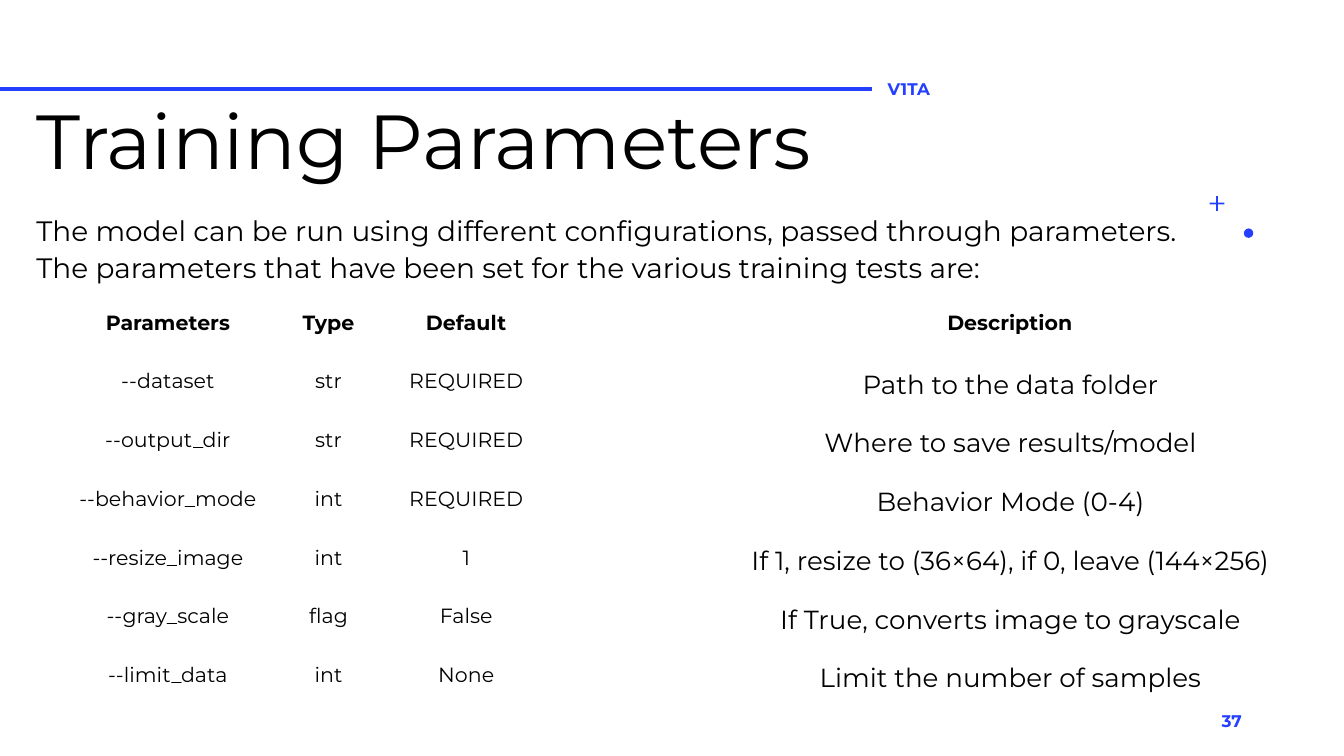
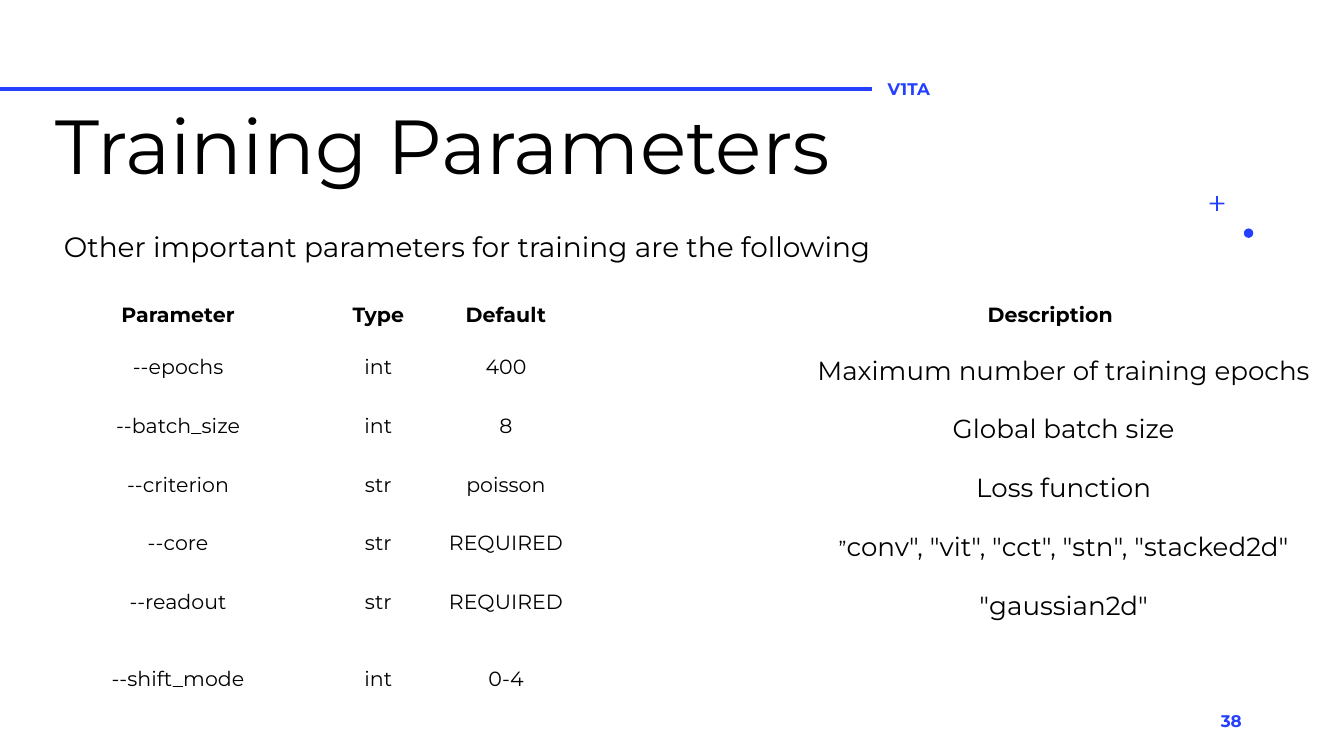
import dataclasses

import lxml.etree
import pptx
import pptx.dml.color
import pptx.enum.shapes
import pptx.enum.text
import pptx.oxml.ns
import pptx.util

ALIGN = pptx.enum.text.PP_ALIGN
ANCHOR = pptx.enum.text.MSO_ANCHOR
SHAPE = pptx.enum.shapes.MSO_SHAPE
qn = pptx.oxml.ns.qn


@dataclasses.dataclass(frozen=True)
class Theme:
    font: str = "Montserrat"
    ink: str = "000000"
    accent: str = "243FFF"
    title: int = 41
    body: int = 15
    description: int = 14
    cell: int = 11
    label: int = 9
    rule: int = 2
    plain_table: str = "{2D5ABB26-0587-4C30-8999-92F81FD0307C}"


class Deck:
    columns = 100
    rows = 56.25

    def __init__(self, theme):
        self.theme = theme
        self.presentation = pptx.Presentation()
        self.presentation.slide_width = pptx.util.Inches(10)
        self.presentation.slide_height = self.presentation.slide_width * 9 // 16
        self.slide = None

    def across(self, columns):
        return round(self.presentation.slide_width * columns / self.columns)

    def down(self, rows):
        return round(self.presentation.slide_height * rows / self.rows)

    def box(self, left, top, width, height):
        return self.across(left), self.down(top), self.across(width), self.down(height)

    def color(self, value):
        return pptx.dml.color.RGBColor.from_string(value)

    def paint(self, shape):
        shape.shadow.inherit = False
        shape.fill.solid()
        shape.fill.fore_color.rgb = self.color(self.theme.accent)
        shape.line.fill.background()

    def run(self, paragraph, text, size, color, bold=False):
        run = paragraph.add_run()
        run.text = text
        run.font.name = self.theme.font
        run.font.size = pptx.util.Pt(size)
        run.font.bold = bold
        run.font.color.rgb = self.color(color)

    def frame(self, shape, anchor, align=ALIGN.LEFT, spacing=1.0):
        frame = shape.text_frame
        frame.word_wrap = True
        frame.auto_size = pptx.enum.text.MSO_AUTO_SIZE.NONE
        frame.vertical_anchor = anchor
        frame.margin_left = frame.margin_right = self.across(0.7)
        frame.margin_top = frame.margin_bottom = self.down(0.4)
        paragraph = frame.paragraphs[0]
        paragraph.alignment = align
        paragraph.line_spacing = spacing
        paragraph.space_before = pptx.util.Pt(0)
        return paragraph

    def place(self, shape, box):
        shape.left, shape.top, shape.width, shape.height = self.box(*box)

    def title(self, text, left, top):
        heading = self.slide.shapes.title
        self.place(heading, (left, top, self.columns - left, 9.7))
        paragraph = self.frame(heading, ANCHOR.BOTTOM, spacing=0.9)
        self.run(paragraph, text, self.theme.title, self.theme.ink)

    def body(self, text, box):
        intro = self.slide.placeholders[1]
        self.place(intro, box)
        paragraph = self.frame(intro, ANCHOR.TOP, spacing=1.1)
        properties = paragraph._p.get_or_add_pPr()
        properties.set("marL", "0")
        properties.set("indent", "0")
        lxml.etree.SubElement(properties, qn("a:buNone"))
        self.run(paragraph, text, self.theme.body, self.theme.ink)

    def label(self, text, box, align=ALIGN.LEFT):
        tag = self.slide.shapes.add_textbox(*self.box(*box))
        paragraph = self.frame(tag, ANCHOR.MIDDLE, align)
        self.run(paragraph, text, self.theme.label, self.theme.accent, True)

    def rule(self, end, top):
        rule = self.slide.shapes.add_connector(
            pptx.enum.shapes.MSO_CONNECTOR.STRAIGHT,
            0, self.down(top), self.across(end), self.down(top))
        rule.line.color.rgb = self.color(self.theme.accent)
        rule.line.width = pptx.util.Pt(self.theme.rule)
        lxml.etree.SubElement(rule.element.spPr, qn("a:effectLst"))

    def dot(self, left, top, size):
        self.paint(self.slide.shapes.add_shape(
            SHAPE.OVAL, *self.box(left, top, size, size)))

    def plus(self, left, top, size):
        near, far, end = 7, 9, 16
        outline = self.slide.shapes.build_freeform(
            near, 0, scale=self.across(size) / end)
        outline.add_line_segments([
            (far, 0), (far, near), (end, near), (end, far), (far, far), (far, end),
            (near, end), (near, far), (0, far), (0, near), (near, near)])
        self.paint(outline.convert_to_shape(self.across(left), self.down(top)))

    def cell(self, cell, content, size, heading, indent):
        cell.fill.background()
        cell.margin_left = self.across(1 + indent)
        cell.margin_right = self.across(1)
        cell.margin_top = cell.margin_bottom = self.down(1)
        paragraph = cell.text_frame.paragraphs[0]
        paragraph.alignment = ALIGN.CENTER
        paragraph.line_spacing = 1.15 if heading else 1.0
        pieces = [(content, size)] if isinstance(content, str) else content
        for text, piece_size in pieces:
            self.run(paragraph, text, piece_size, self.theme.ink, heading)

    def table(self, entries, left, top, widths, heights, indents):
        holder = self.slide.shapes.add_table(
            len(entries), len(widths),
            *self.box(left, top, sum(widths), sum(heights)))
        grid = holder.table
        grid.first_row = grid.horz_banding = False
        next(holder.element.iter(qn("a:tableStyleId"))).text = self.theme.plain_table
        for column, width in zip(grid.columns, widths):
            column.width = self.across(width)
        for row, height in zip(grid.rows, heights):
            row.height = self.down(height)
        last = len(widths) - 1
        for r, entry in enumerate(entries):
            heading = r == 0
            for c, content in enumerate(entry):
                described = c == last and not heading
                size = self.theme.description if described else self.theme.cell
                indent = indents[0 if heading else 1] if c == last else 0
                self.cell(grid.cell(r, c), content, size, heading, indent)

    def start(self, number):
        layout = self.presentation.slide_layouts[1]
        self.slide = self.presentation.slides.add_slide(layout)
        self.rule(64.9, 6.6)
        self.dot(92.55, 17, 0.7)
        self.plus(90, 14.6, 1.1)
        self.label("V1TA", (65.35, 5.1, 10.6, 3))
        self.label(str(number), (70.6, 52.15, 22.5, 3), ALIGN.RIGHT)


DATA_PARAMETERS = [
    ("Parameters", "Type", "Default", "Description"),
    ("--dataset", "str", "REQUIRED", "Path to the data folder"),
    ("--output_dir", "str", "REQUIRED", "Where to save results/model"),
    ("--behavior_mode", "int", "REQUIRED", "Behavior Mode (0-4)"),
    ("--resize_image", "int", "1", "If 1, resize to (36×64), if 0, leave (144×256)"),
    ("--gray_scale", "flag", "False", "If True, converts image to grayscale"),
    ("--limit_data", "int", "None", "Limit the number of samples"),
]

MODEL_PARAMETERS = [
    ("Parameter", "Type", "Default", "Description"),
    ("--epochs", "int", "400", "Maximum number of training epochs"),
    ("--batch_size", "int", "8", "Global batch size"),
    ("--criterion", "str", "poisson", "Loss function"),
    ("--core", "str", "REQUIRED",
     [("”", Theme.cell),
      ('conv", "vit", "cct", "stn", "stacked2d"', Theme.description)]),
    ("--readout", "str", "REQUIRED", '"gaussian2d"'),
    ("--shift_mode", "int", "0-4", []),
]


def main():
    deck = Deck(Theme())

    deck.start(37)
    deck.title("Training Parameters", 2, 4.55)
    deck.body("The model can be run using different configurations, passed through "
              "parameters. The parameters that have been set for the various "
              "training tests are:", (2, 15.25, 86.6, 27.5))
    deck.table(DATA_PARAMETERS, 3.65, 21.85, [17.7, 6.2, 14.3, 54.2],
               [4.6] + [3.6] * 6, (12.4, 12.5))

    deck.start(38)
    deck.title("Training Parameters", 3.4, 4.9)
    deck.body("Other important parameters for training are the following",
              (4.05, 16.4, 93, 4.8))
    deck.table(MODEL_PARAMETERS, 2.25, 21.25, [22, 7.8, 11.2, 55.8],
               [3.9] + [4.1] * 4 + [5.7, 5.5], (14, 16))

    deck.presentation.save("out.pptx")


if __name__ == "__main__":
    main()
